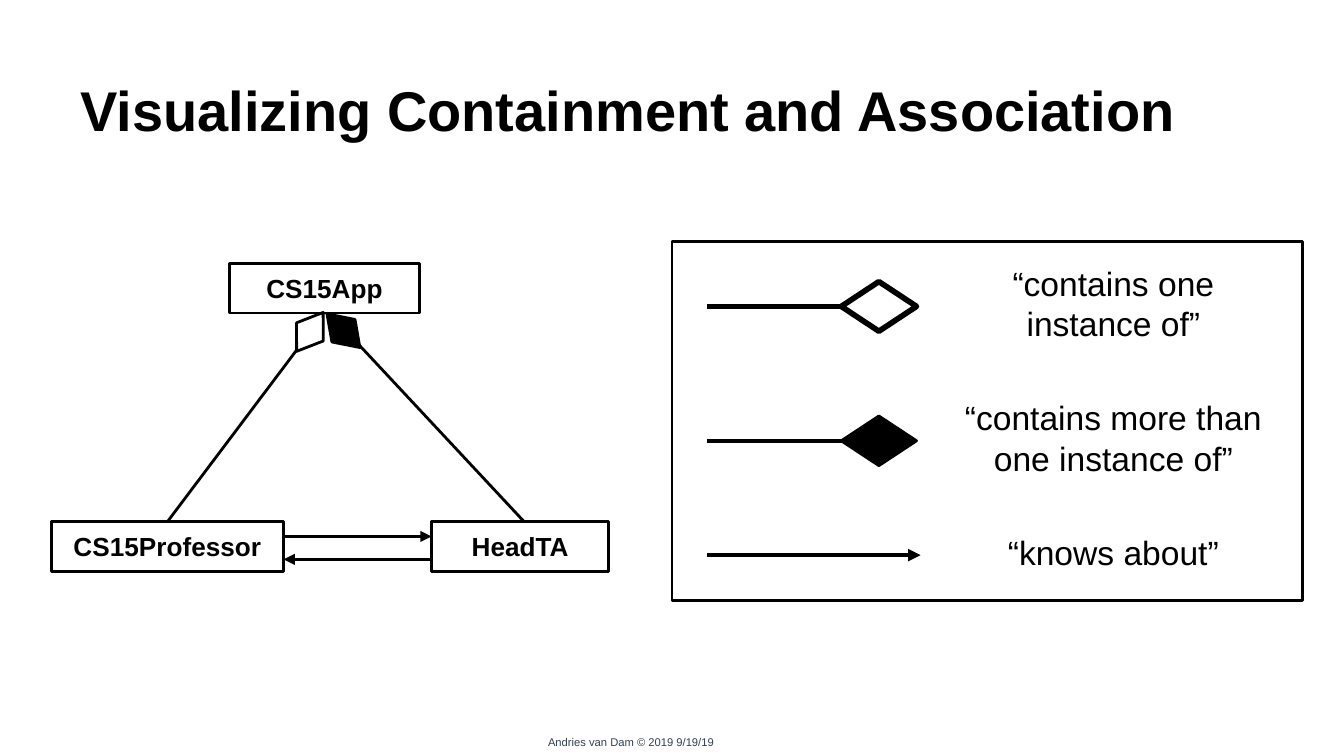
import pptx
import pptx.util
import pptx.dml.color
import pptx.enum.shapes
import pptx.enum.text
import pptx.oxml
import pptx.oxml.ns

Pt = pptx.util.Pt
SHAPE = pptx.enum.shapes.MSO_SHAPE
ALIGN = pptx.enum.text.PP_ALIGN
ANCHOR = pptx.enum.text.MSO_ANCHOR
BLACK = pptx.dml.color.RGBColor(0, 0, 0)
WHITE = pptx.dml.color.RGBColor(255, 255, 255)
SLATE = pptx.dml.color.RGBColor(0x32, 0x3F, 0x4F)
FONT = "Arial"


def write(sp, text, size, color=BLACK, bold=False, align=ALIGN.CENTER,
          anchor=ANCHOR.MIDDLE, inset=7.2):
    tf = sp.text_frame
    tf.word_wrap = True
    tf.auto_size = pptx.enum.text.MSO_AUTO_SIZE.NONE
    tf.vertical_anchor = anchor
    tf.margin_left = tf.margin_right = Pt(7.2)
    tf.margin_top = tf.margin_bottom = Pt(inset)
    p = tf.paragraphs[0]
    p.alignment = align
    r = p.add_run()
    r.text = text
    r.font.name = FONT
    r.font.size = Pt(size)
    r.font.bold = bold
    r.font.color.rgb = color
    return p


def add_text(s, x, y, w, h, text, size, **style):
    sp = s.shapes.add_textbox(Pt(x), Pt(y), Pt(w), Pt(h))
    write(sp, text, size, **style)


def add_outline(s, kind, x, y, w, h, fill=None, weight=1.5):
    sp = s.shapes.add_shape(kind, Pt(x), Pt(y), Pt(w), Pt(h))
    sp.shadow.inherit = False
    if fill is None:
        sp.fill.background()
    else:
        sp.fill.solid()
        sp.fill.fore_color.rgb = fill
    sp.line.color.rgb = BLACK
    sp.line.width = Pt(weight)
    return sp


def add_line(s, x1, y1, x2, y2, weight=1.5, arrow=True):
    c = s.shapes.add_connector(pptx.enum.shapes.MSO_CONNECTOR.STRAIGHT,
                               Pt(x1), Pt(y1), Pt(x2), Pt(y2))
    c.line.color.rgb = BLACK
    c.line.width = Pt(weight)
    qn = pptx.oxml.ns.qn
    if arrow:
        ln = c.line._get_or_add_ln()
        ln.append(ln.makeelement(qn("a:tailEnd"), {"type": "triangle"}))
    sp_pr = c._element.spPr
    sp_pr.append(sp_pr.makeelement(qn("a:effectLst"), {}))
    return c


def add_title(s, x, y, w, h):
    sp = s.shapes.title
    sp.left, sp.top, sp.width, sp.height = Pt(x), Pt(y), Pt(w), Pt(h)
    p = write(sp, "Visualizing Containment and Association", 30, bold=True,
              align=ALIGN.LEFT, anchor=ANCHOR.BOTTOM)
    p.line_spacing = 0.9


def add_class_diagram(s, x, y, w, h):
    box_h = 26.6
    low = y + h - box_h
    prof_w, head_w = 124.6, 95
    head_x = x + w - head_w
    boxes = {}
    for name, bx, by, bw in (("CS15App", x + 95.7, y, 101.5),
                             ("CS15Professor", x, low, prof_w),
                             ("HeadTA", head_x, low, head_w)):
        boxes[name] = add_outline(s, SHAPE.RECTANGLE, bx, by, bw, box_h)
        write(boxes[name], name, 14, bold=True)

    c = add_line(s, x + prof_w / 2, low, x + 146.5, y + box_h)
    c.begin_connect(boxes["CS15Professor"], 0)
    c.end_connect(boxes["CS15App"], 2)
    add_line(s, x + 253.4, low, x + 149, y + box_h)
    add_line(s, x + prof_w, low + 7.9, head_x, low + 7.9)
    add_line(s, head_x, low + 20.2, x + prof_w, low + 20.2)

    for dx, dy, fill, angle in ((126, 28.1, WHITE, 304.3),
                                (144, 27.4, BLACK, 225.7)):
        sp = add_outline(s, SHAPE.FLOWCHART_DECISION,
                         x + dx, y + dy, 25.2, 17.3, fill)
        sp.rotation = angle


def add_legend(s, x, y, w, h):
    add_outline(s, SHAPE.RECTANGLE, x, y, w, h)
    line_x, diamond_x, diamond_w, diamond_h = x + 18.7, x + 90.7, 40.3, 26.6
    label_mid, label_h = x + 236.5, 53.3
    rows = ((34.6, "“contains one instance of”", 139, WHITE, 3),
            (106.6, "“contains more than one instance of”", 175, BLACK, 1.5),
            (167.8, "“knows about”", 175, None, 0))
    for dy, label, label_w, fill, weight in rows:
        mid = y + dy
        if fill is None:
            add_line(s, line_x, mid, x + 133.2, mid, 2.25)
        else:
            add_line(s, line_x, mid, x + 108.7, mid, 2.25, arrow=False)
            add_outline(s, SHAPE.FLOWCHART_DECISION, diamond_x,
                        mid - diamond_h / 2, diamond_w, diamond_h, fill, weight)
        add_text(s, label_mid - label_w / 2, mid - 1.8 - label_h / 2,
                 label_w, label_h, label, 18)


def add_credit(s, x, y, w, h):
    add_text(s, x, y, w, h, "Andries van Dam © 2019 9/19/19 ", 6,
             color=SLATE, anchor=ANCHOR.TOP, inset=3.6)


def main():
    prs = pptx.Presentation()
    prs.slide_width, prs.slide_height = Pt(720), Pt(405)
    s = prs.slides.add_slide(prs.slide_layouts[5])
    add_credit(s, 239.8, 390.2, 198, 14.8)
    add_title(s, 36, 16.6, 648, 67.7)
    add_class_diagram(s, 27.4, 141.1, 298.8, 165)
    add_legend(s, 360, 129.6, 337.7, 192.2)
    prs.save("out.pptx")


if __name__ == "__main__":
    main()
